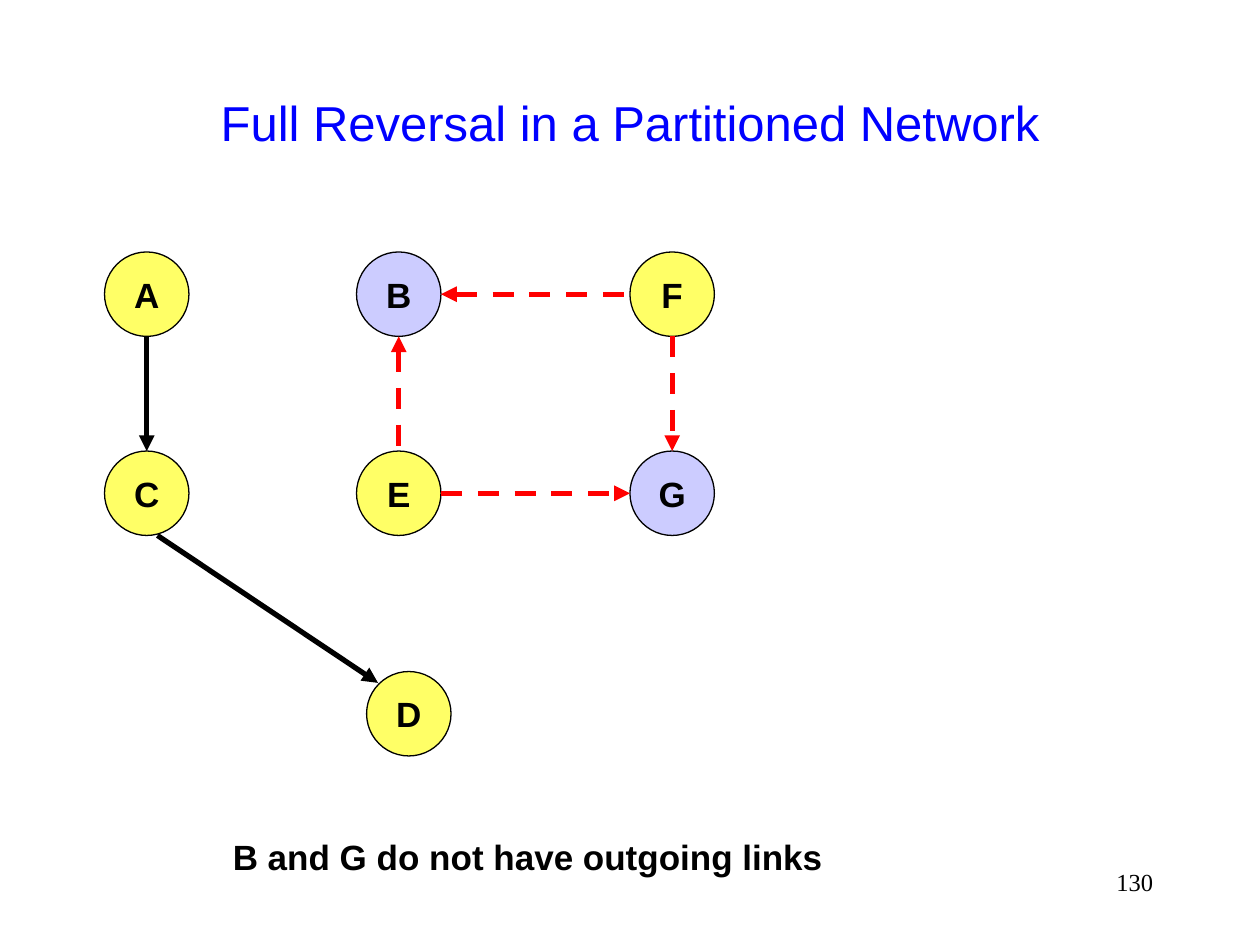
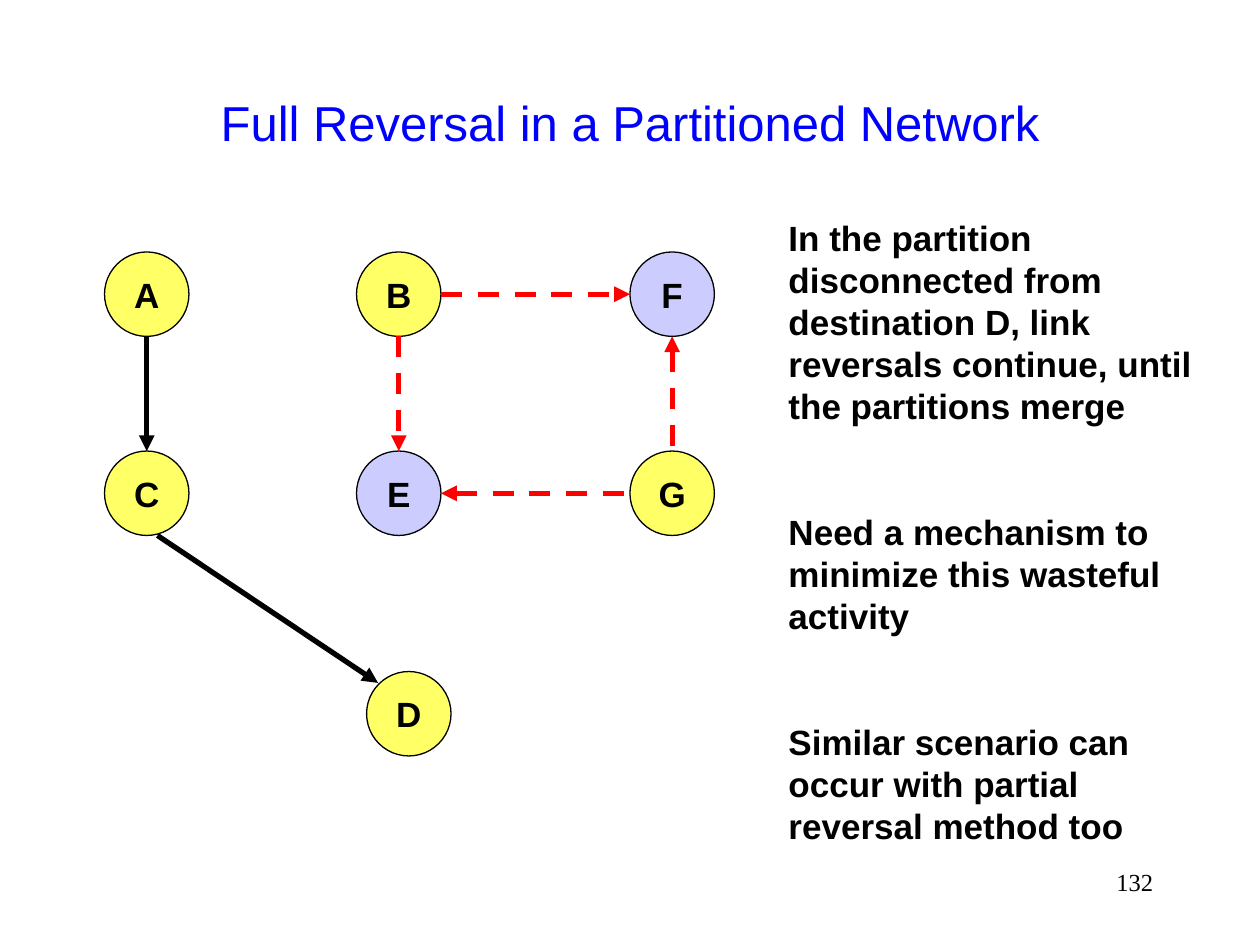
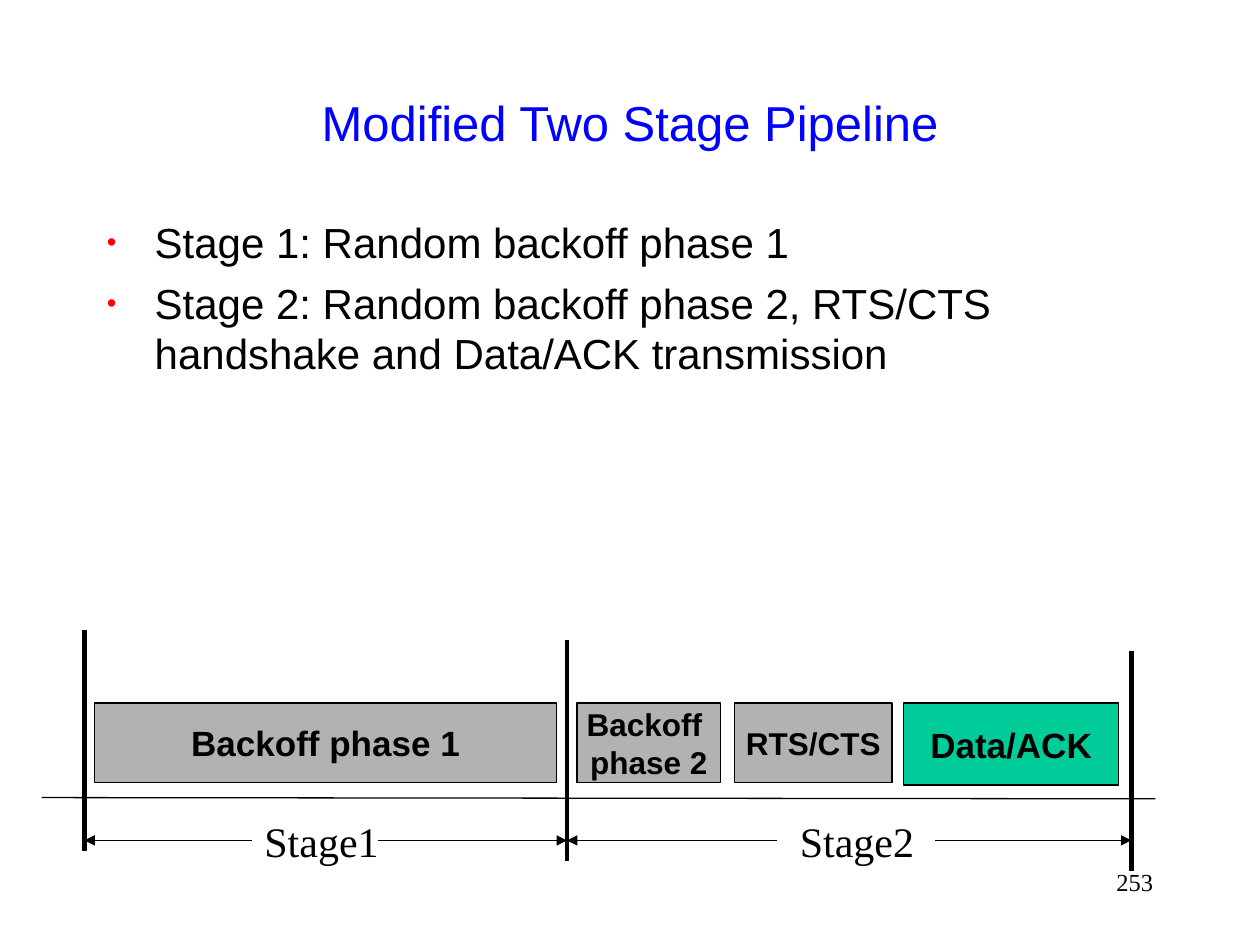
from lxml import etree
from pptx import Presentation
from pptx.dml.color import RGBColor
from pptx.enum.dml import MSO_LINE
from pptx.enum.shapes import MSO_CONNECTOR, MSO_SHAPE
from pptx.enum.text import MSO_ANCHOR, PP_ALIGN
from pptx.oxml.ns import qn
from pptx.util import Inches, Pt

BLACK = RGBColor(0x00, 0x00, 0x00)
BLUE = RGBColor(0x00, 0x00, 0xFF)
RED = RGBColor(0xFF, 0x00, 0x00)
YELLOW = RGBColor(0xFF, 0xFF, 0x66)
LAVENDER = RGBColor(0xCC, 0xCC, 0xFF)
GRAY = RGBColor(0xB2, 0xB2, 0xB2)
GREEN = RGBColor(0x00, 0xCC, 0x99)
SANS = "Arial"
SERIF = "Times New Roman"
LEFT, CENTER, RIGHT = PP_ALIGN.LEFT, PP_ALIGN.CENTER, PP_ALIGN.RIGHT
TOP, MIDDLE = MSO_ANCHOR.TOP, MSO_ANCHOR.MIDDLE
STRAIGHT = MSO_CONNECTOR.STRAIGHT
OVAL, RECTANGLE = MSO_SHAPE.OVAL, MSO_SHAPE.RECTANGLE
DASH = MSO_LINE.DASH
AT_START, AT_END = "a:headEnd", "a:tailEnd"

TITLE_ONLY = 5
NODE_SIZE = 0.67
NODE_SPOTS = {
    "A": (0, 0), "B": (2, 0), "F": (4.17, 0),
    "C": (0, 1.58), "E": (2, 1.58), "G": (4.17, 1.58),
    "D": (2.08, 3.33),
}
PARTITION_LINKS = ["BE", "FG", "BF", "EG"]
PARTITION_NOTES = [
    "In the partition\vdisconnected from\vdestination D, link\v"
    "reversals continue, until\vthe partitions merge",
    "Need a mechanism to\vminimize this wasteful\vactivity",
    "Similar scenario can\voccur with partial\vreversal method too",
]
STAGE_BULLETS = [
    "Stage 1: Random backoff phase 1",
    "Stage 2: Random backoff phase 2, RTS/CTS handshake and Data/ACK transmission",
]


def inches(*values):
    return [Inches(value) for value in values]


def write(shape, text, size, font=SANS, color=BLACK, bold=False,
          align=LEFT, anchor=TOP, wrap=True, gap=0):
    frame = shape.text_frame
    frame.text = text
    frame.word_wrap = wrap
    frame.vertical_anchor = anchor
    for index, para in enumerate(frame.paragraphs):
        para.alignment = align
        para.space_before = Pt(gap if index else 0)
        for span in para.runs:
            span.font.size = Pt(size)
            span.font.name = font
            span.font.bold = bold
            span.font.color.rgb = color


def add_text(page, box, text, size, **style):
    shape = page.shapes.add_textbox(*inches(*box))
    write(shape, text, size, **style)


def add_block(page, kind, box, fill, text, size=20):
    shape = page.shapes.add_shape(kind, *inches(*box))
    shape.shadow.inherit = False
    shape.fill.solid()
    shape.fill.fore_color.rgb = fill
    shape.line.color.rgb = BLACK
    shape.line.width = Pt(0.75)
    write(shape, text, size, bold=True, align=CENTER, anchor=MIDDLE, wrap=False)


def add_line(page, start, end, width, color=BLACK, dashed=False, arrow=None):
    line = page.shapes.add_connector(STRAIGHT, *inches(*start, *end))
    line.line.color.rgb = color
    line.line.width = Pt(width)
    if dashed:
        line.line.dash_style = DASH
    if arrow:
        outline = line._element.spPr.find(qn("a:ln"))
        etree.SubElement(outline, qn(arrow), type="triangle")
    etree.SubElement(line._element.spPr, qn("a:effectLst"))


def add_page(deck, title, number):
    page = deck.slides.add_slide(deck.slide_layouts[TITLE_ONLY])
    heading = page.shapes.title
    heading.left, heading.top, heading.width, heading.height = inches(0.75, 0.34, 8.5, 1.25)
    write(heading, title, 28, color=BLUE, align=CENTER, anchor=MIDDLE)
    add_text(page, (7.17, 6.83, 2.08, 0.5), str(number), 14, font=SERIF, align=RIGHT)
    return page


def link_ends(first, second, left, top):
    ends = []
    for here, there in ((first, second), (second, first)):
        offsets = []
        for mine, other in zip(NODE_SPOTS[here], NODE_SPOTS[there]):
            side = (other > mine) - (other < mine)
            offsets.append(mine + NODE_SIZE / 2 * (1 + side))
        ends.append((left + offsets[0], top + offsets[1]))
    return ends


def add_network(page, left, top, sinks):
    for name, (x, y) in NODE_SPOTS.items():
        fill = LAVENDER if name in sinks else YELLOW
        add_block(page, OVAL, (left + x, top + y, NODE_SIZE, NODE_SIZE), fill, name)
    add_line(page, *link_ends("A", "C", left, top), 3, arrow=AT_END)
    add_line(page, (left + 0.42, top + 2.25), (left + 2.17, top + 3.42), 3, arrow=AT_END)
    for first, second in PARTITION_LINKS:
        arrow = AT_START if first in sinks else AT_END
        add_line(page, *link_ends(first, second, left, top), 3, RED, dashed=True, arrow=arrow)


def add_network_page(deck, number, sinks):
    page = add_page(deck, "Full Reversal in a Partitioned Network", number)
    add_network(page, 0.83, 2, sinks)
    return page


def add_bullets(page, box, items):
    shape = page.shapes.add_textbox(*inches(*box))
    write(shape, "\n".join(items), 24, gap=6)
    for para in shape.text_frame.paragraphs:
        properties = para._p.get_or_add_pPr()
        properties.set("marL", str(Inches(0.38)))
        properties.set("indent", str(-Inches(0.38)))
        color = etree.SubElement(properties, qn("a:buClr"))
        etree.SubElement(color, qn("a:srgbClr"), val=str(RED))
        etree.SubElement(properties, qn("a:buSzPct"), val="65000")
        etree.SubElement(properties, qn("a:buFont"), typeface=SANS)
        etree.SubElement(properties, qn("a:buChar"), char="•")


def add_pipeline(page, left, top):
    borders = (0.34, 4.17, 8.65)
    for index, x in enumerate(borders):
        y = top + index / 12
        add_line(page, (left + x, y), (left + x, y + 1.75), 2.75)
    phases = [
        (0.42, 3.67, 0.63, GRAY, "Backoff phase 1", 20),
        (4.25, 1.14, 0.63, GRAY, "Backoff \nphase 2", 18),
        (5.5, 1.25, 0.63, GRAY, "RTS/CTS", 18),
        (6.84, 1.71, 0.65, GREEN, "Data/ACK", 20),
    ]
    for x, width, height, fill, text, size in phases:
        add_block(page, RECTANGLE, (left + x, top + 0.58, width, height), fill, text, size)
    add_line(page, (left, top + 1.33), (left + 8.84, top + 1.34), 0.75)
    stages = [("Stage1", 1.67, 1.42, 1.67, 2.67), ("Stage2", 5.92, 1.17, 5.84, 7.09)]
    for (text, x, width, *inner), outer in zip(stages, zip(borders, borders[1:])):
        add_text(page, (left + x, top + 1.42, width, 0.5), text, 24, font=SERIF)
        for start, end in zip(inner, outer):
            add_line(page, (left + start, top + 1.67), (left + end, top + 1.67), 0.75,
                     arrow=AT_END)


def main():
    deck = Presentation()
    deck.slide_width, deck.slide_height = inches(10, 7.5)

    page = add_network_page(deck, 130, "BG")
    add_text(page, (1.69, 6.58, 5, 0.44), "B and G do not have outgoing links", 20,
             bold=True, align=CENTER, anchor=MIDDLE, wrap=False)

    page = add_network_page(deck, 132, "EF")
    add_text(page, (6.16, 1.67, 3.4, 5.1), "\n".join(PARTITION_NOTES), 20,
             bold=True, anchor=MIDDLE, wrap=False, gap=48)

    page = add_page(deck, "Modified Two Stage Pipeline", 253)
    add_bullets(page, (0.75, 1.67, 8.5, 5), STAGE_BULLETS)
    add_pipeline(page, 0.33, 5)

    deck.save("out.pptx")


if __name__ == "__main__":
    main()
